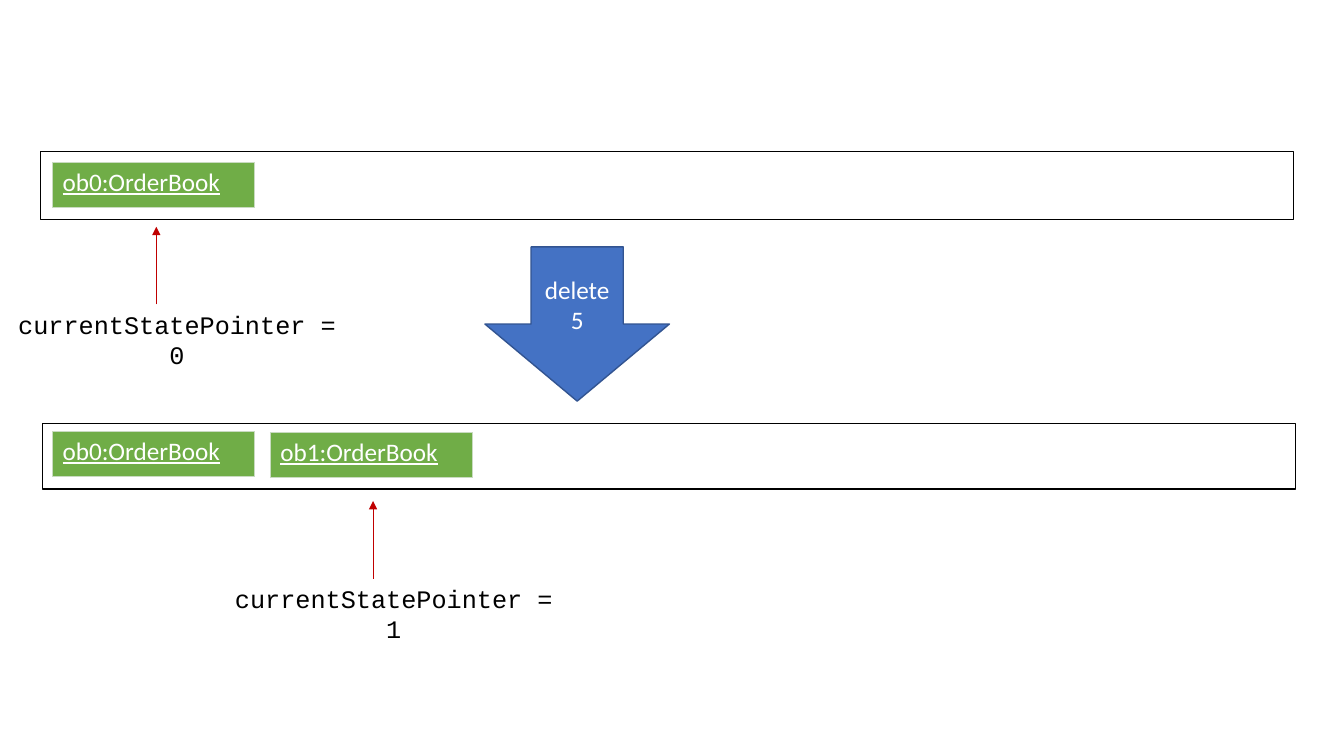
from pptx import Presentation
from pptx.dml.color import RGBColor
from pptx.enum.shapes import MSO_CONNECTOR as Conn, MSO_SHAPE as Shape
from pptx.enum.text import MSO_ANCHOR as Anchor, MSO_AUTO_SIZE as Fit, PP_ALIGN as Align
from pptx.oxml.ns import qn
from pptx.util import Inches, Pt
from lxml.etree import SubElement

BLACK = RGBColor(0x00, 0x00, 0x00)
WHITE = RGBColor(0xFF, 0xFF, 0xFF)
GREEN = RGBColor(0x70, 0xAD, 0x47)
PALE = RGBColor(0xC9, 0xDB, 0xC1)
BLUE = RGBColor(0x44, 0x72, 0xC4)
NAVY = RGBColor(0x32, 0x54, 0x91)
RED = RGBColor(0xC0, 0x00, 0x00)


def write(frame, text, color, font="Calibri", align=Align.CENTER):
    frame.text = text
    para = frame.paragraphs[0]
    para.alignment = align
    run = para.runs[0]
    run.font.size = Pt(18)
    run.font.name = font
    run.font.color.rgb = color
    return run


def add_box(slide, kind, left, top, width, height, line):
    box = slide.shapes.add_shape(
        kind, Inches(left), Inches(top), Inches(width), Inches(height))
    box.shadow.inherit = False
    box.line.color.rgb = line
    box.line.width = Pt(1)
    return box


def add_list(slide, left, top, height):
    add_box(slide, Shape.RECTANGLE, left, top, 12.43, height, BLACK).fill.background()


def add_command(slide, text):
    arrow = add_box(slide, Shape.DOWN_ARROW, 4.81, 2.45, 1.83, 1.53, NAVY)
    arrow.fill.solid()
    arrow.fill.fore_color.rgb = BLUE
    arrow.text_frame.vertical_anchor = Anchor.MIDDLE
    write(arrow.text_frame, text, WHITE)


def add_border(cell):
    props = cell._tc.get_or_add_tcPr()
    for side in ("lnL", "lnR", "lnT", "lnB"):
        line = SubElement(props, qn(f"a:{side}"), w=str(Pt(0.5)))
        fill = SubElement(line, qn("a:solidFill"))
        SubElement(fill, qn("a:srgbClr"), val=str(PALE))


def add_state(slide, name, left, top):
    table = slide.shapes.add_table(
        1, 1, Inches(left), Inches(top), Inches(2), Inches(0.45)).table
    cell = table.cell(0, 0)
    add_border(cell)
    cell.fill.solid()
    cell.fill.fore_color.rgb = GREEN
    run = write(cell.text_frame, name, WHITE, align=Align.LEFT)
    run.font.underline = True
    run.font.bold = False


def add_pointer(slide, index, left, top):
    # Label
    label = slide.shapes.add_textbox(
        Inches(left), Inches(top), Inches(3.51), Inches(0.4))
    frame = label.text_frame
    frame.word_wrap = True
    frame.auto_size = Fit.SHAPE_TO_FIT_TEXT
    write(frame, f"currentStatePointer = {index}", BLACK, "Courier New")

    # Arrow up to the state
    x = Inches(left + 1.55)
    arrow = slide.shapes.add_connector(
        Conn.STRAIGHT, x, Inches(top), x, Inches(top - 0.77))
    arrow.line.color.rgb = RED
    arrow.line.width = Pt(0.5)
    SubElement(arrow.line._get_or_add_ln(), qn("a:tailEnd"), type="triangle")
    SubElement(arrow._element.spPr, qn("a:effectLst"))


def main():
    deck = Presentation()
    deck.slide_width = Inches(13.33)
    deck.slide_height = Inches(7.5)
    slide = deck.slides.add_slide(deck.slide_layouts[6])

    # Before the command
    add_list(slide, 0.4, 1.5, 0.68)
    add_state(slide, "ob0:OrderBook", 0.52, 1.61)
    add_pointer(slide, 0, 0, 3.02)

    add_command(slide, "delete 5")

    # After the command
    add_list(slide, 0.42, 4.2, 0.65)
    add_state(slide, "ob0:OrderBook", 0.52, 4.28)
    add_state(slide, "ob1:OrderBook", 2.68, 4.29)
    add_pointer(slide, 1, 2.15, 5.74)

    deck.save("out.pptx")


if __name__ == "__main__":
    main()
